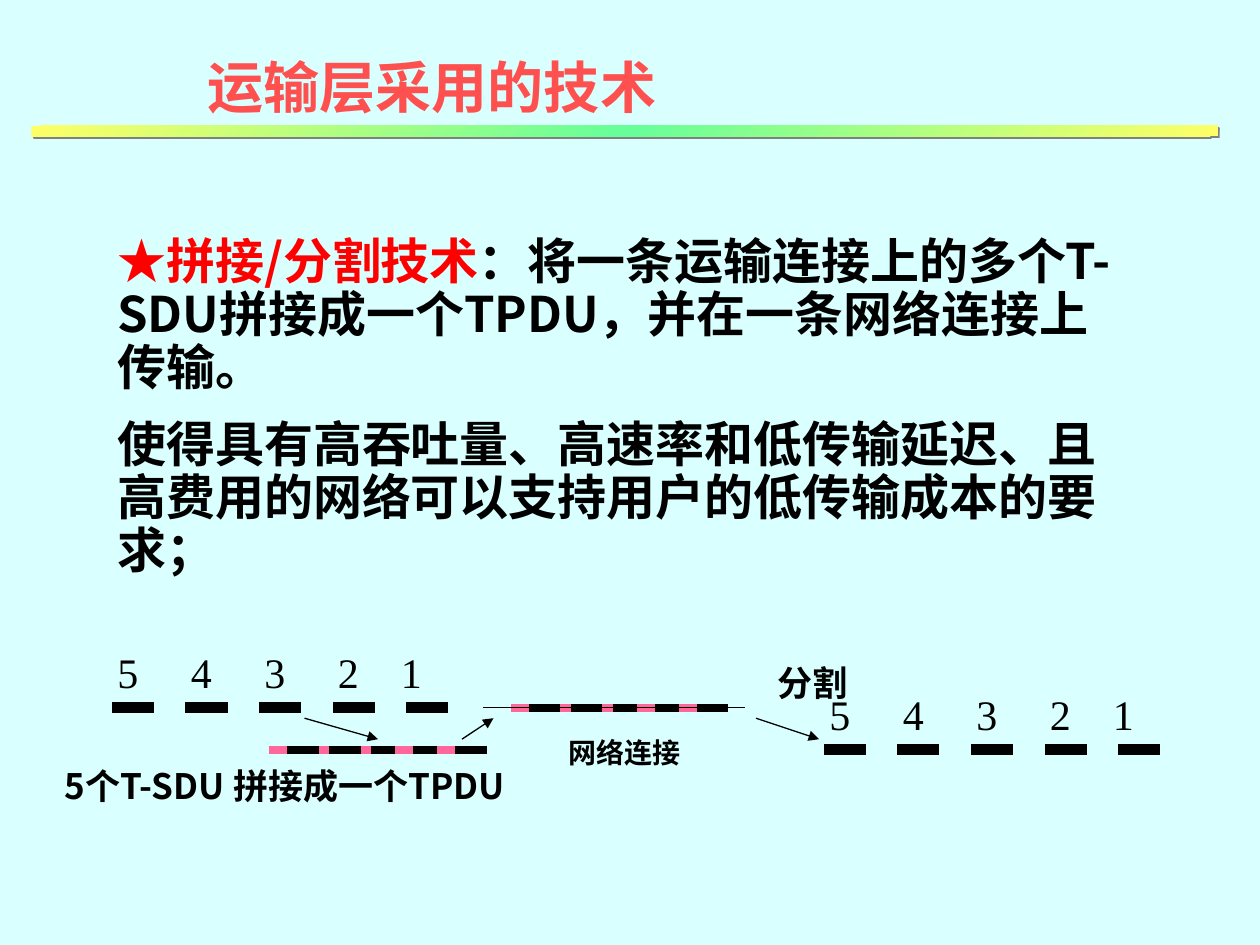
from copy import deepcopy
from lxml import etree
from pptx import Presentation
from pptx.dml.color import RGBColor
from pptx.enum.dml import MSO_LINE
from pptx.enum.shapes import MSO_CONNECTOR, MSO_SHAPE
from pptx.enum.text import MSO_ANCHOR, PP_ALIGN
from pptx.oxml.ns import qn
from pptx.util import Inches, Pt

STRAIGHT = MSO_CONNECTOR.STRAIGHT
RECTANGLE = MSO_SHAPE.RECTANGLE
DASH = MSO_LINE.DASH
TOP = MSO_ANCHOR.TOP
LEFT = PP_ALIGN.LEFT

THEME = {
    "background": "D9FFFF", "title": "FF5050", "key": "FF0000", "ink": "000000",
    "header": "FF6699", "bar_end": "FFFF66", "bar_middle": "66FF99", "shadow": "808080",
    "sans": "Noto Sans CJK SC", "serif": "Times New Roman",
    "title_size": 32, "body_size": 28, "digit_size": 24, "label_size": 20, "small_size": 16,
}

deck = Presentation()
deck.slide_width, deck.slide_height = Inches(10), Inches(7.5)
COLUMN = deck.slide_width / 120
ROW = deck.slide_height / 90
page = deck.slides.add_slide(deck.slide_layouts[5])
page.background.fill.solid()
page.background.fill.fore_color.rgb = RGBColor.from_string(THEME["background"])


def write(para, text, size, font="sans", color="ink", bold=True):
    para.alignment = LEFT
    span = para.add_run()
    span.text = text
    span.font.size = Pt(THEME[size])
    span.font.bold = bold
    span.font.color.rgb = RGBColor.from_string(THEME[color])
    span.font.name = THEME[font]
    east_asian = etree.SubElement(span.font._element, qn("a:ea"))
    east_asian.set("typeface", THEME["sans"])


def draw_line(start, end, width, color="ink", cap="flat", arrow=False):
    line = page.shapes.add_connector(
        STRAIGHT, round(start[0] * COLUMN), round(start[1] * ROW),
        round(end[0] * COLUMN), round(end[1] * ROW))
    line.line.width = Pt(width)
    line.line.color.rgb = RGBColor.from_string(THEME[color])
    outline = line.line._get_or_add_ln()
    outline.set("cap", cap)
    if arrow:
        etree.SubElement(outline, qn("a:tailEnd")).set("type", "triangle")
    etree.SubElement(line._element.spPr, qn("a:effectLst"))
    return line


bar = page.shapes.add_shape(RECTANGLE, round(3 * COLUMN), round(12 * ROW),
                            round(113 * COLUMN), round(ROW))
bar.line.fill.background()
bar.fill.gradient()
bar.fill.gradient_angle = 135
first_stop, middle_stop = bar.fill.gradient_stops
first_stop.color.rgb = RGBColor.from_string(THEME["bar_end"])
first_stop.position = 0
middle_stop.color.rgb = RGBColor.from_string(THEME["bar_middle"])
middle_stop.position = 0.5
stops = bar._element.spPr.find(".//" + qn("a:gsLst"))
last_stop = deepcopy(stops[0])
last_stop.set("pos", "100000")
stops.append(last_stop)
bar.shadow.inherit = False
effects = bar._element.spPr.find(qn("a:effectLst"))
shadow = etree.SubElement(effects, qn("a:outerShdw"), dist=str(Pt(1.4)), dir="2700000")
etree.SubElement(shadow, qn("a:srgbClr")).set("val", THEME["shadow"])

title = page.shapes.title
title.left, title.top = round(18.6 * COLUMN), round(2.5 * ROW)
title.width, title.height = round(45 * COLUMN), round(9.6 * ROW)
title.text_frame.vertical_anchor = TOP
title.text_frame.word_wrap = True
title.text_frame.margin_right = 0
title_para = title.text_frame.paragraphs[0]
title_para.line_spacing = 1.3
write(title_para, "运输层采用的技术", "title_size", color="title")

body = page.shapes.add_textbox(round(10 * COLUMN), round(22 * ROW),
                               round(98 * COLUMN), round(40.5 * ROW))
body.text_frame.word_wrap = True
technique = body.text_frame.paragraphs[0]
benefit = body.text_frame.add_paragraph()
for para in (technique, benefit):
    para.line_spacing = 0.9
    para.space_after = Pt(7)
benefit.space_before = Pt(7)
write(technique, "★", "body_size", "serif", "key")
write(technique, "拼接/分割技术", "body_size", color="key")
write(technique, "：将一条运输连接上的多个T-SDU拼接成一个TPDU，并在一条网络连接上传输。", "body_size")
write(benefit, "使得具有高吞吐量、高速率和低传输延迟、且高费用的网络可以支持用户的低传输成本的要求；", "body_size")

for column, row, width, height, text, size, font in (
    (5, 72.25, 55.8, 5.25, "5个T-SDU 拼接成一个TPDU", "label_size", "sans"),
    (53, 69.5, 13, 4.5, "网络连接", "small_size", "serif"),
    (72.85, 62.4, 9, 5.25, "分割", "label_size", "serif"),
):
    label = page.shapes.add_textbox(round(column * COLUMN), round(row * ROW),
                                    round(width * COLUMN), round(height * ROW))
    label.text_frame.word_wrap = True
    label.text_frame.margin_right = 0
    write(label.text_frame.paragraphs[0], text, size, font)

for column, row in ((10, 61), (77.8, 65)):
    digits = page.shapes.add_textbox(round(column * COLUMN), round(row * ROW),
                                     round(31.3 * COLUMN), round(6 * ROW))
    digits.text_frame.word_wrap = True
    digits.text_frame.margin_right = 0
    para = digits.text_frame.paragraphs[0]
    tabs = etree.SubElement(para._p.get_or_add_pPr(), qn("a:tabLst"))
    for stop in (7, 14, 21, 27):
        etree.SubElement(tabs, qn("a:tab"), pos=str(round(stop * COLUMN)), algn="l")
    write(para, "5\t4\t3\t2\t1", "digit_size", "serif", bold=False)
    units = draw_line((column + 1.15, row + 6.4), (column + 32.15, row + 6.4), 6, cap="sq")
    units.line.dash_style = DASH

for column, row in ((49, 67.4), (26, 71.4)):
    for place in (2, 3, 1, 4, 0):
        joint = column + 1 + 4 * place
        draw_line((joint, row), (joint + 3, row), 4.5, cap="sq")
        draw_line((joint, row), (joint - 1, row), 4.5, "header", cap="sq")

draw_line((46, 67.4), (71, 67.4), 0.75)
for start, end in (((72, 68.4), (78, 70.4)), ((29, 68.4), (36, 70.4)), ((44, 70.4), (47, 68.4))):
    draw_line(start, end, 0.75, arrow=True)

deck.save("out.pptx")
